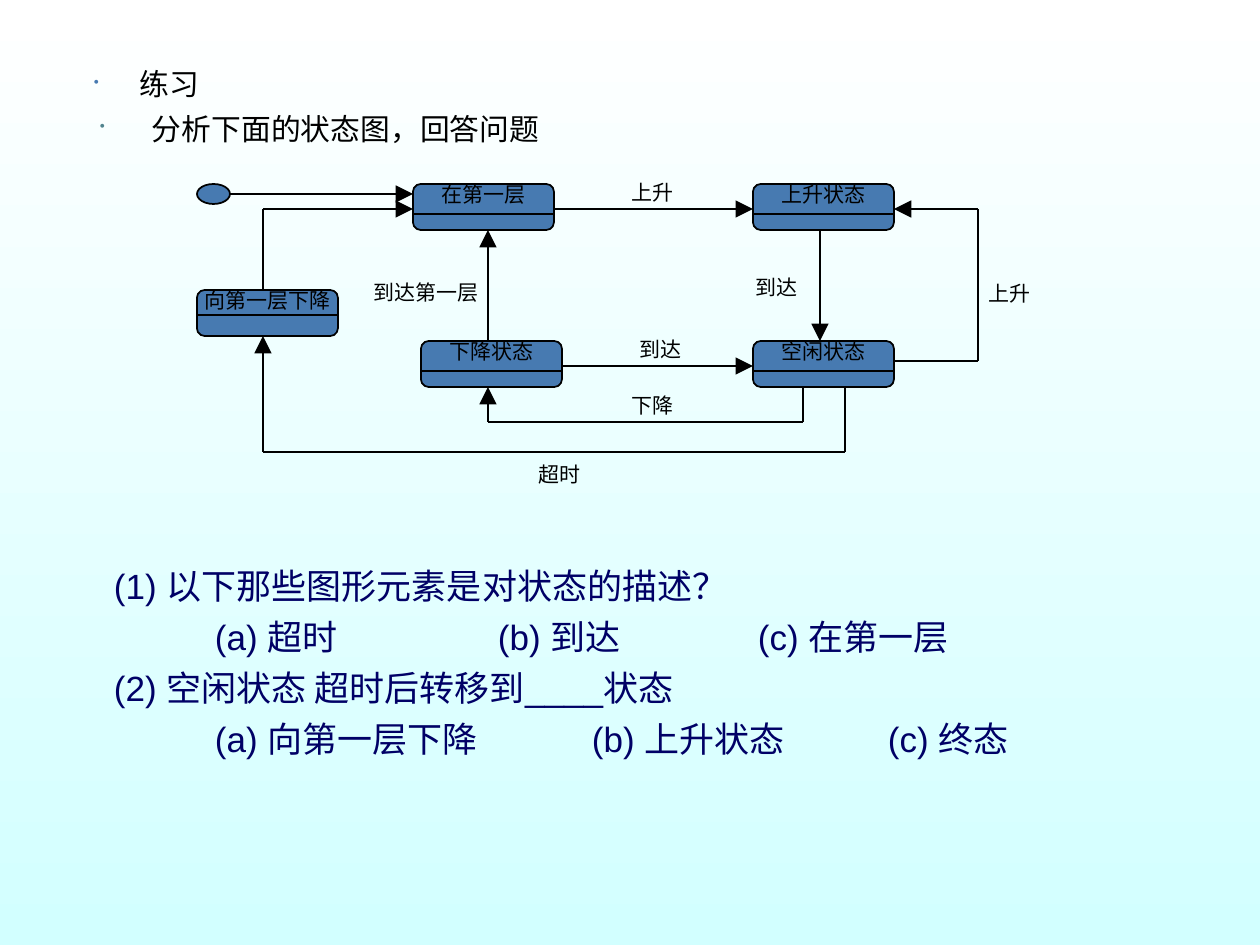
from itertools import pairwise

from lxml import etree
from pptx import Presentation
from pptx.dml.color import RGBColor
from pptx.enum.shapes import MSO_CONNECTOR, MSO_SHAPE
from pptx.enum.text import MSO_ANCHOR, PP_ALIGN
from pptx.oxml.ns import qn
from pptx.util import Emu, Pt

STRAIGHT = MSO_CONNECTOR.STRAIGHT
ROUNDED = MSO_SHAPE.FLOWCHART_ALTERNATE_PROCESS
OVAL = MSO_SHAPE.OVAL
TOP = MSO_ANCHOR.TOP
CENTER = PP_ALIGN.CENTER

BLACK, BLUE, TEAL, NAVY = "000000", "477AB1", "51848E", "000066"
SKY = ("FFFFFF", "D2FFFF")
PX = 914400 / 126
SPACE_BEFORE = 5

# text, bullet colour, bullet position, text position
HEADINGS = [
    ("练习", BLUE, 26, 72),
    ("分析下面的状态图，回答问题", TEAL, 32, 84),
]

STATE_W, STATE_H = 141, 46
# name, left, top, depth of the dividing line
STATES = [
    ("下降状态", 421, 341, 30),
    ("在第一层", 413, 184, 30),
    ("上升状态", 753, 184, 30),
    ("向第一层下降", 197, 290, 25),
    ("空闲状态", 753, 341, 30),
]
START = (197, 184, 33, 20)

# Each transition runs through its points and ends in an arrowhead.
TRANSITIONS = [
    [(230, 194), (413, 194)],
    [(554, 209), (753, 209)],
    [(820, 230), (820, 341)],
    [(562, 366), (753, 366)],
    [(488, 341), (488, 230)],
    [(894, 361), (978, 361), (978, 209), (894, 209)],
    [(845, 387), (845, 452), (263, 452), (263, 336)],
    [(803, 387), (803, 422), (488, 422), (488, 387)],
    [(263, 290), (263, 209), (413, 209)],
]

# text, left and top of its first letter
LABELS = [
    ("上升", 632, 180),
    ("到达", 640, 337),
    ("到达", 756, 275),
    ("上升", 989, 281),
    ("超时", 539, 462),
    ("下降", 632, 393),
    ("到达第一层", 374, 280),
]
LETTER_W, LABEL_H = 21, 26

# question, its options, tab stop of each option
QUESTIONS = [
    ("(1) 以下那些图形元素是对状态的描述？",
     ["(a) 超时", "(b) 到达", "(c) 在第一层"], [101, 384, 644]),
    ("(2) 空闲状态 超时后转移到____状态",
     ["(a) 向第一层下降", "(b) 上升状态", "(c) 终态"], [101, 478, 774]),
]


def px(length):
    return Emu(round(length * PX))


def rgb(hex_color):
    return RGBColor.from_string(hex_color)


def add_run(paragraph, text, size, font, color):
    run = paragraph.add_run()
    run.text = text
    run.font.size = Pt(size)
    run.font.name = font
    run.font.color.rgb = rgb(color)


def add_child(parent, tag, **attributes):
    return etree.SubElement(parent, qn(tag), attributes)


def add_bullet(paragraph, color, bullet_x, text_x):
    props = paragraph._p.get_or_add_pPr()
    props.set("marL", str(px(text_x)))
    props.set("indent", str(px(bullet_x - text_x)))
    add_child(add_child(props, "a:buClr"), "a:srgbClr", val=color)
    add_child(props, "a:buSzPct", val="50000")
    add_child(props, "a:buChar", char="•")


def add_tabs(paragraph, stops):
    tabs = add_child(paragraph._p.get_or_add_pPr(), "a:tabLst")
    for stop in stops:
        add_child(tabs, "a:tab", pos=str(px(stop)), algn="l")


def set_insets(frame, horizontal, vertical):
    frame.margin_left = frame.margin_right = px(horizontal)
    frame.margin_top = frame.margin_bottom = px(vertical)


def add_text_frame(slide, left, top, width, height):
    frame = slide.shapes.add_textbox(*map(px, (left, top, width, height))).text_frame
    frame.word_wrap = True
    set_insets(frame, 0, 0)
    return frame


def next_paragraph(frame):
    """Return the first paragraph while it is empty, then spaced new ones."""
    if not frame.paragraphs[0].runs:
        return frame.paragraphs[0]
    paragraph = frame.add_paragraph()
    paragraph.space_before = Pt(SPACE_BEFORE)
    return paragraph


def add_node(slide, preset, left, top, width, height):
    node = slide.shapes.add_shape(preset, *map(px, (left, top, width, height)))
    node.shadow.inherit = False
    node.fill.solid()
    node.fill.fore_color.rgb = rgb(BLUE)
    node.line.color.rgb = rgb(BLACK)
    node.line.width = Pt(1)
    return node


def add_line(slide, start, end, arrow=False):
    line = slide.shapes.add_connector(STRAIGHT, *map(px, start + end))
    line.line.color.rgb = rgb(BLACK)
    line.line.width = Pt(1)
    if arrow:
        add_child(line.line._get_or_add_ln(), "a:tailEnd",
                  type="triangle", w="lg", len="lg")
    add_child(line._element.spPr, "a:effectLst")


def add_state(slide, name, left, top, divider):
    frame = add_node(slide, ROUNDED, left, top, STATE_W, STATE_H).text_frame
    frame.word_wrap = False
    frame.vertical_anchor = TOP
    set_insets(frame, 0, -5)
    frame.paragraphs[0].alignment = CENTER
    add_run(frame.paragraphs[0], name, 12, "Arial", BLACK)
    add_line(slide, (left, top + divider), (left + STATE_W, top + divider))


def add_label(slide, text, left, top):
    """Add a one-line label, with one letter of spare width so it never wraps."""
    width = (len(text) + 1) * LETTER_W
    frame = add_text_frame(slide, left, top, width, LABEL_H)
    add_run(frame.paragraphs[0], text, 12, "Arial", BLACK)


def main():
    deck = Presentation()
    deck.slide_width, deck.slide_height = px(1260), px(945)
    slide = deck.slides.add_slide(deck.slide_layouts[6])

    sky = slide.background.fill
    sky.gradient()
    sky.gradient_angle = 270
    for stop, color in zip(sky.gradient_stops, SKY):
        stop.color.rgb = rgb(color)

    headings = add_text_frame(slide, 68, 66, 1134, 88)
    for text, color, bullet_x, text_x in HEADINGS:
        paragraph = next_paragraph(headings)
        add_bullet(paragraph, color, bullet_x, text_x)
        add_run(paragraph, text, 17, "Cambria", BLACK)

    for state in STATES:
        add_state(slide, *state)
    add_node(slide, OVAL, *START)
    for points in TRANSITIONS:
        for start, end in pairwise(points):
            add_line(slide, start, end, arrow=end == points[-1])
    for label in LABELS:
        add_label(slide, *label)

    questions = add_text_frame(slide, 114, 565, 1069, 312)
    for question, options, stops in QUESTIONS:
        add_run(next_paragraph(questions), question, 20, "Arial", NAVY)
        paragraph = next_paragraph(questions)
        add_tabs(paragraph, stops)
        for option in options:
            add_run(paragraph, "\t" + option, 20, "Arial", NAVY)

    deck.save("out.pptx")


if __name__ == "__main__":
    main()
